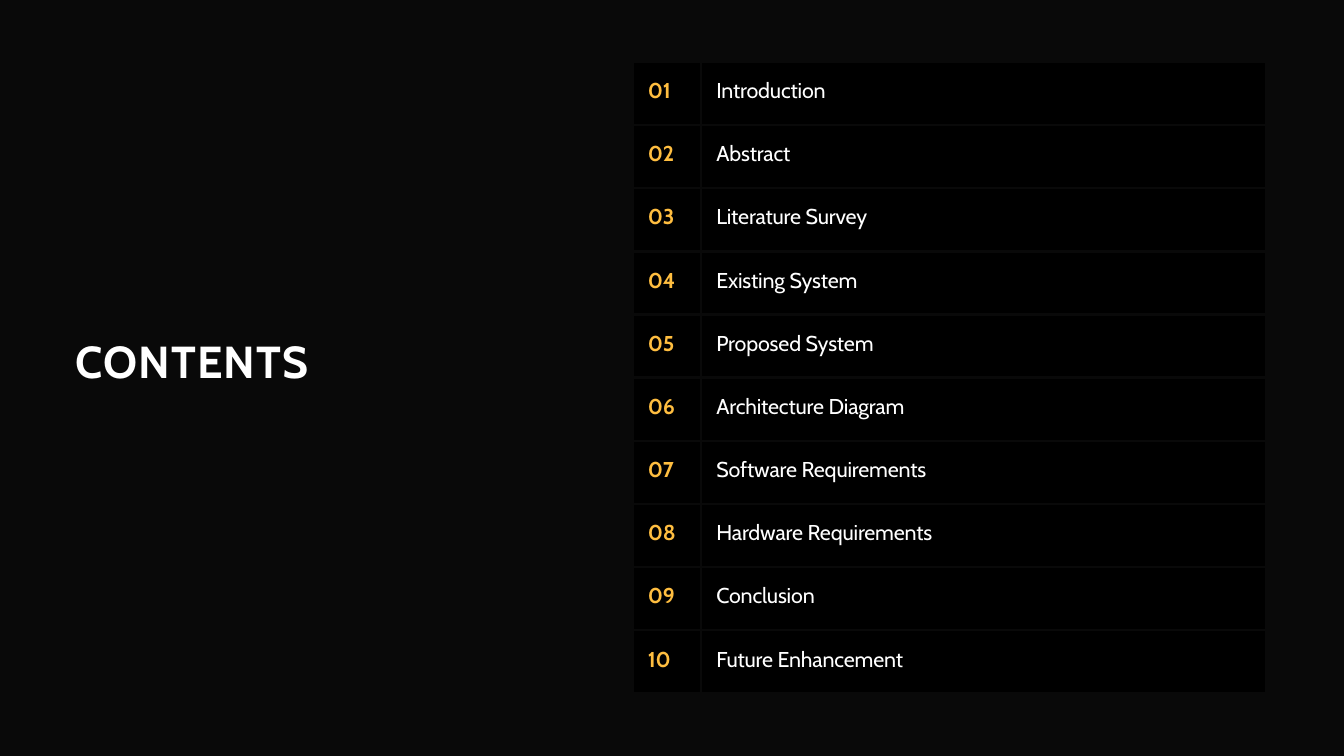
from dataclasses import dataclass

from lxml.etree import SubElement
from pptx import Presentation
from pptx.dml.color import RGBColor
from pptx.enum.shapes import MSO_SHAPE as Shape
from pptx.enum.text import MSO_ANCHOR as Anchor
from pptx.oxml.ns import qn
from pptx.util import Inches, Pt

TOPICS = [
    "Introduction",
    "Abstract",
    "Literature Survey",
    "Existing System",
    "Proposed System",
    "Architecture Diagram",
    "Software Requirements",
    "Hardware Requirements",
    "Conclusion",
    "Future Enhancement",
]


@dataclass(frozen=True)
class Theme:
    font: str = "Cabin"
    backdrop: str = "090909"
    cell: str = "000000"
    text: str = "FFFFFF"
    accent: str = "FFBE40"
    title_size: float = 48
    item_size: float = 23
    rule_width: float = 3


def paint(fill, color):
    fill.solid()
    fill.fore_color.rgb = RGBColor.from_string(color)


def write(frame, text, *, font, size, color, bold=False, spacing=0):
    """Put one run of text in the frame; spacing is in points per letter."""
    span = frame.paragraphs[0].add_run()
    span.text = text
    span.font.name = font
    span.font.size = Pt(size)
    span.font.bold = bold
    span.font.color.rgb = RGBColor.from_string(color)
    span.font._element.set("spc", str(round(spacing * 100)))


def set_borders(cell, color, width):
    properties = cell._tc.get_or_add_tcPr()
    for side in ("lnL", "lnR", "lnT", "lnB"):
        line = SubElement(properties, qn(f"a:{side}"), w=str(Pt(width)))
        fill = SubElement(line, qn("a:solidFill"))
        SubElement(fill, qn("a:srgbClr"), val=color)


class SlideBuilder:
    """Draws on a grid of square modules, 20 across the slide."""

    COLUMNS = 20

    def __init__(self, deck, theme):
        self.theme = theme
        self.module = deck.slide_width / self.COLUMNS
        self.rows = deck.slide_height / self.module
        self.slide = deck.slides.add_slide(deck.slide_layouts[6])

    def grid(self, *modules):
        return [round(count * self.module) for count in modules]

    def backdrop(self):
        area = self.grid(0, 0, self.COLUMNS, self.rows)
        panel = self.slide.shapes.add_shape(Shape.RECTANGLE, *area)
        panel.shadow.inherit = False
        panel.line.fill.background()
        paint(panel.fill, self.theme.backdrop)

    def title(self, text, *area):
        box = self.slide.shapes.add_textbox(*self.grid(*area))
        frame = box.text_frame
        frame.word_wrap = True
        frame.margin_left = frame.margin_right = 0
        frame.margin_top = frame.margin_bottom = 0
        write(frame, text, font=self.theme.font, size=self.theme.title_size,
              color=self.theme.text, bold=True, spacing=1.3)

    def contents_table(self, topics, left, top, column_widths, row_height):
        area = self.grid(left, top, sum(column_widths), row_height * len(topics))
        table = self.slide.shapes.add_table(len(topics), len(column_widths), *area).table
        table.first_row = table.horz_banding = False
        for column, width in zip(table.columns, self.grid(*column_widths)):
            column.width = width
        for number, (row, topic) in enumerate(zip(table.rows, topics), start=1):
            row.height = self.grid(row_height)[0]
            number_cell, topic_cell = row.cells
            self.table_cell(number_cell, f"{number:02}", color=self.theme.accent,
                            bold=True, spacing=-0.1)
            self.table_cell(topic_cell, topic, color=self.theme.text, spacing=-0.2)

    def table_cell(self, cell, text, **style):
        cell.margin_left, cell.margin_top = self.grid(0.23, 0.24)
        cell.margin_right = cell.margin_bottom = 0
        cell.vertical_anchor = Anchor.TOP
        set_borders(cell, self.theme.backdrop, self.theme.rule_width)
        paint(cell.fill, self.theme.cell)
        write(cell.text_frame, text, font=self.theme.font,
              size=self.theme.item_size, **style)


def main():
    deck = Presentation()
    deck.slide_width, deck.slide_height = Inches(20), Inches(11.25)
    page = SlideBuilder(deck, Theme())
    page.backdrop()
    page.title("CONTENTS", 1.12, 4.97, 6.85, 0.82)
    page.contents_table(TOPICS, left=9.41, top=0.92,
                        column_widths=(1.02, 8.41), row_height=0.94)
    deck.save("out.pptx")


if __name__ == "__main__":
    main()
